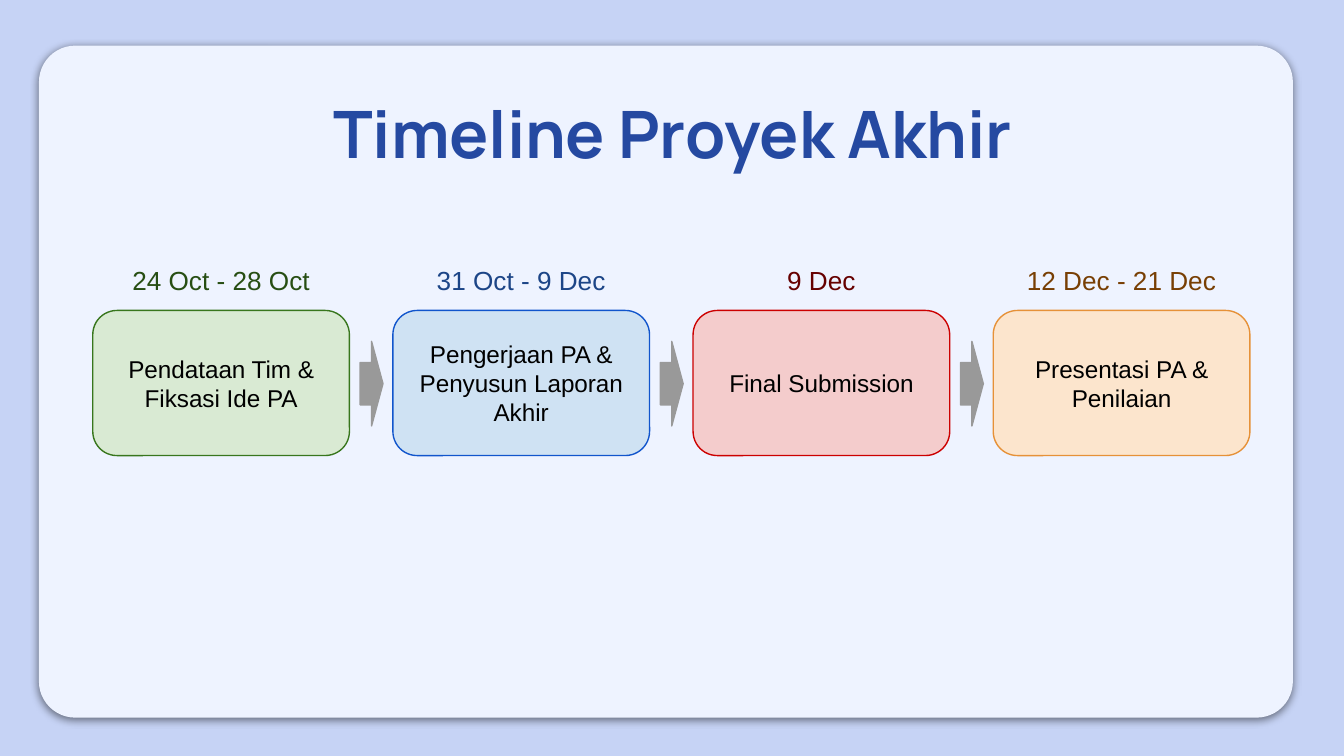
from typing import NamedTuple

from lxml.etree import fromstring
from pptx import Presentation
from pptx.dml.color import RGBColor
from pptx.enum.shapes import MSO_SHAPE
from pptx.enum.text import MSO_ANCHOR, MSO_AUTO_SIZE, PP_ALIGN
from pptx.util import Inches, Pt

BACK = RGBColor(0xC6, 0xD3, 0xF5)
PANEL = RGBColor(0xEE, 0xF3, 0xFF)
NAVY = RGBColor(0x25, 0x49, 0xA1)
BLACK = RGBColor(0x00, 0x00, 0x00)
GRAY = RGBColor(0x99, 0x99, 0x99)
LEFT, LAST, WIDE = 0.69, 7.39, 1.91
SHADOW = """<a:effectLst xmlns:a="http://schemas.openxmlformats.org/drawingml/2006/main">
<a:outerShdw blurRad="57150" dist="19050" dir="5400000" algn="bl" rotWithShape="0">
<a:srgbClr val="000000"><a:alpha val="50000"/></a:srgbClr></a:outerShdw></a:effectLst>"""


class Phase(NamedTuple):
    date: str
    lines: list[str]
    fill: RGBColor
    edge: RGBColor
    ink: RGBColor


PHASES = [
    Phase("24 Oct - 28 Oct", ["Pendataan Tim &", "Fiksasi Ide PA"],
          RGBColor(0xD9, 0xEA, 0xD3), RGBColor(0x38, 0x76, 0x1D), RGBColor(0x27, 0x4E, 0x13)),
    Phase("31 Oct - 9 Dec", ["Pengerjaan PA & Penyusun Laporan Akhir"],
          RGBColor(0xCF, 0xE2, 0xF3), RGBColor(0x11, 0x55, 0xCC), RGBColor(0x1C, 0x45, 0x87)),
    Phase("9 Dec", ["Final Submission"],
          RGBColor(0xF4, 0xCC, 0xCC), RGBColor(0xCC, 0x00, 0x00), RGBColor(0x66, 0x00, 0x00)),
    Phase("12 Dec - 21 Dec", ["Presentasi PA & Penilaian"],
          RGBColor(0xFC, 0xE5, 0xCD), RGBColor(0xE6, 0x91, 0x38), RGBColor(0x78, 0x3F, 0x04)),
]
STEP = (LAST - LEFT) / (len(PHASES) - 1)


def place(x: float, y: float, w: float, h: float) -> list[int]:
    return [Inches(v) for v in (x, y, w, h)]


def draw(slide, kind, area: list[int], fill: RGBColor, edge: RGBColor | None = None):
    shape = slide.shapes.add_shape(kind, *area)
    shape.shadow.inherit = False
    shape.fill.solid()
    shape.fill.fore_color.rgb = fill
    if edge is None:
        shape.line.fill.background()
    else:
        shape.line.color.rgb = edge
        shape.line.width = Pt(0.75)
    return shape


def write(shape, lines: list[str], size: int, ink: RGBColor, anchor=MSO_ANCHOR.TOP,
          face: str = "Arial", bold: bool = False, fit=MSO_AUTO_SIZE.NONE) -> None:
    frame = shape.text_frame
    frame.text = "\n".join(lines)
    pad = Inches(0.1)
    form = {"word_wrap": True, "auto_size": fit, "vertical_anchor": anchor,
            "margin_left": pad, "margin_right": pad,
            "margin_top": pad, "margin_bottom": pad}
    for key, value in form.items():
        setattr(frame, key, value)
    for para in frame.paragraphs:
        para.alignment = PP_ALIGN.CENTER
        for key, value in {"name": face, "size": Pt(size), "bold": bold}.items():
            setattr(para.font, key, value)
        para.font.color.rgb = ink


def main() -> None:
    # Widescreen page, 16:9
    deck = Presentation()
    deck.slide_width, deck.slide_height = Inches(10), Inches(10 * 9 / 16)
    slide = deck.slides.add_slide(deck.slide_layouts[5])
    slide.background.fill.solid()
    slide.background.fill.fore_color.rgb = BACK

    # Title
    title = slide.shapes.title
    title.left, title.top, title.width, title.height = place(0.79, 0.59, 8.43, 0.63)
    write(title, ["Timeline Proyek Akhir"], 35, NAVY, face="Manrope", bold=True)

    # Panel with soft shadow, set behind the title
    panel = draw(slide, MSO_SHAPE.ROUNDED_RECTANGLE, place(0.29, 0.34, 9.33, 5), PANEL)
    panel.adjustments[0] = 0.054
    props = panel._element.spPr
    props.replace(props.find("{*}effectLst"), fromstring(SHADOW))
    title._element.addprevious(panel._element)

    # Phases: box, date above, arrow to the next
    for i, phase in enumerate(PHASES):
        x = LEFT + i * STEP
        box = draw(slide, MSO_SHAPE.ROUNDED_RECTANGLE, place(x, 2.31, WIDE, 1.08),
                   phase.fill, phase.edge)
        write(box, phase.lines, 13, BLACK, MSO_ANCHOR.MIDDLE)
        date = slide.shapes.add_textbox(*place(x, 1.87, WIDE, 0.44))
        write(date, [phase.date], 14, phase.ink, fit=MSO_AUTO_SIZE.SHAPE_TO_FIT_TEXT)
        if i < len(PHASES) - 1:
            draw(slide, MSO_SHAPE.RIGHT_ARROW, place(x + 1.99, 2.54, 0.17, 0.63), GRAY, GRAY)

    deck.save("out.pptx")


if __name__ == "__main__":
    main()
